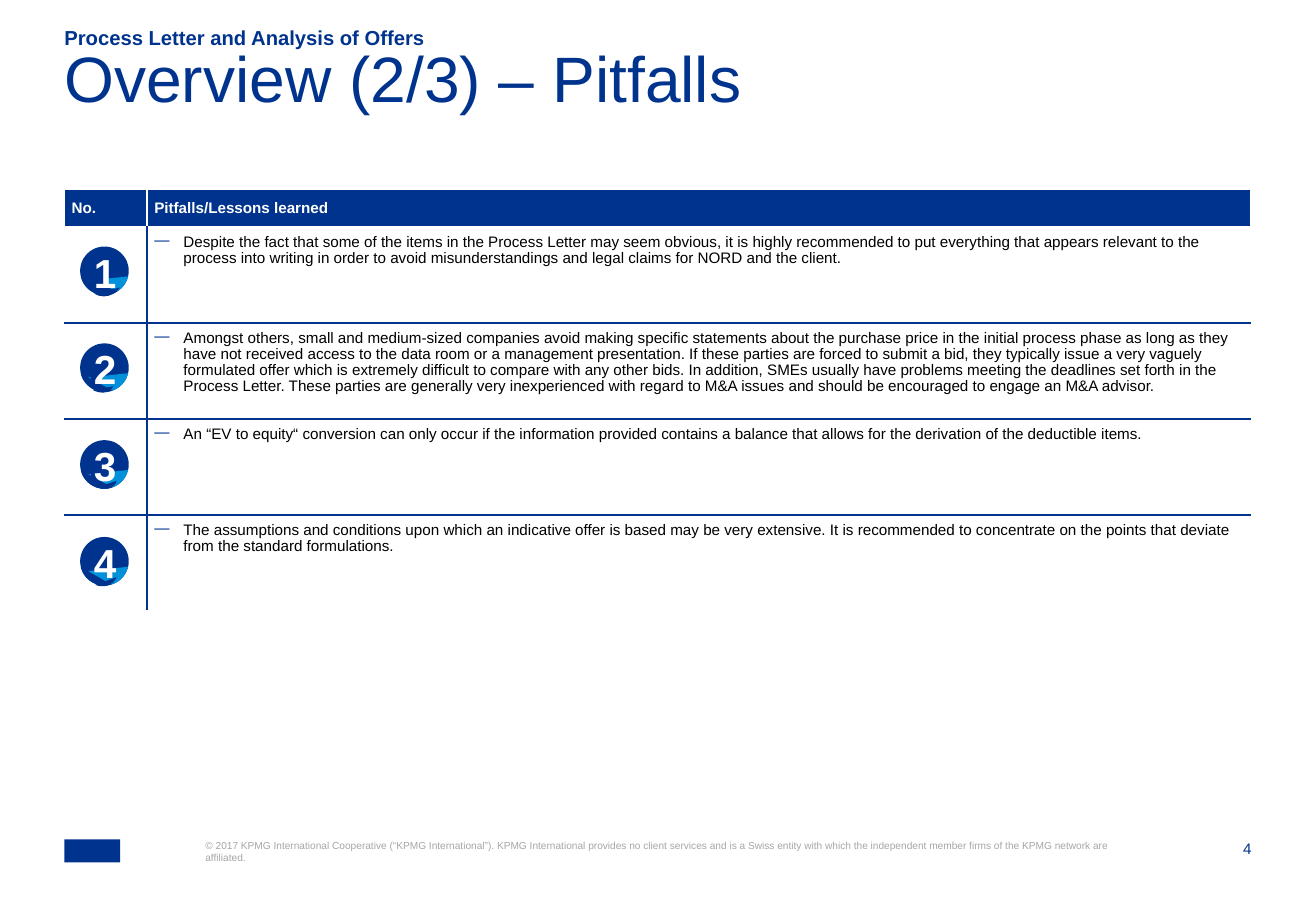
from dataclasses import dataclass
from typing import Any, Optional

from lxml.etree import SubElement
from pptx import Presentation
from pptx.dml.color import RGBColor
from pptx.enum.shapes import MSO_SHAPE
from pptx.enum.text import MSO_ANCHOR, MSO_AUTO_SIZE, PP_ALIGN
from pptx.oxml.ns import qn
from pptx.util import Inches, Pt

CELL = Inches(0.1)
SLIDE_COLS, SLIDE_ROWS = 108.3, 75
LEFT, WIDTH = 5.3, 97.6
COLUMN_WIDTHS = (6.8, 90.8)
HEADER_HEIGHT, ROW_HEIGHT = 3.1, 7.9
TABLE_TOP = 15.6
BADGE_LEFT, BADGE_TOP, BADGE_SIZE, BADGE_PITCH = 6.6, 20.3, 4, 7.97


@dataclass(frozen=True)
class Theme:
    font: str = "Arial"
    navy: str = "00338D"
    sky: str = "0091DA"
    white: str = "FFFFFF"
    black: str = "000000"
    grey: str = "A6A6A6"
    title: float = 38
    badge: float = 24
    kicker: float = 12
    body: float = 9
    footer: float = 6
    border: float = 1


@dataclass(frozen=True)
class Box:
    col: float
    row: float
    cols: float
    rows: float

    def emu(self) -> tuple[int, ...]:
        return tuple(grid(n) for n in (self.col, self.row, self.cols, self.rows))


@dataclass(frozen=True)
class Label:
    text: str
    box: Box
    size: float
    color: str
    bold: bool = False
    align: PP_ALIGN = PP_ALIGN.LEFT
    anchor: MSO_ANCHOR = MSO_ANCHOR.TOP
    spacing: Optional[float] = None


@dataclass(frozen=True)
class Pitfall:
    text: str
    shade_end: float
    patch: tuple[tuple[float, float], ...]
    tilted: Box
    rotation: float
    tilted_angles: tuple[float, float]


THEME = Theme()

LABELS = (
    Label("4", Box(98.7, 69.1, 4.3, 1.6), THEME.body, THEME.navy, align=PP_ALIGN.RIGHT),
    Label("© 2017 KPMG International Cooperative (“KPMG International”). KPMG International "
          "provides no client services and is a Swiss entity with which the independent "
          "member firms of the KPMG network are affiliated.",
          Box(16.9, 69.1, 74.9, 4.1), THEME.footer, THEME.grey),
    Label("Process Letter and Analysis of Offers", Box(LEFT, 2.2, 94, 1.9),
          THEME.kicker, THEME.navy, bold=True, anchor=MSO_ANCHOR.BOTTOM),
    Label("Overview (2/3) – Pitfalls", Box(LEFT, 4.9, WIDTH, 7.9),
          THEME.title, THEME.navy, spacing=0.7),
)

HEADERS = ("No.", "Pitfalls/Lessons learned")

PITFALLS = (
    Pitfall("Despite the fact that some of the items in the Process Letter may seem obvious, it "
            "is highly recommended to put everything that appears relevant to the process into "
            "writing in order to avoid misunderstandings and legal claims for NORD and the client.",
            58.23, ((0.9, 0.5), (2.3, 0.5), (2.3, 3.4), (0.9, 3.4)),
            Box(0.4, 1, 3.1, 3.1), 315, (77.05, 166.04)),
    Pitfall("Amongst others, small and medium-sized companies avoid making specific statements "
            "about the purchase price in the initial process phase as long as they have not "
            "received access to the data room or a management presentation. If these parties are "
            "forced to submit a bid, they typically issue a very vaguely formulated offer which "
            "is extremely difficult to compare with any other bids. In addition, SMEs usually "
            "have problems meeting the deadlines set forth in the Process Letter. These parties "
            "are generally very inexperienced with regard to M&A issues and should be encouraged "
            "to engage an M&A advisor.",
            70.86, ((0.9, 0.5), (2.6, 0.6), (1.6, 3.4), (0.9, 3.4)),
            Box(0.4, 1.4, 2.1, 2.9), 306.1, (81.95, 166.04)),
    Pitfall("An “EV to equity“ conversion can only occur if the information provided contains a "
            "balance that allows for the derivation of the deductible items.",
            71, ((0.9, 0.5), (2.4, 0.6), (2.3, 3.2), (0.9, 3.3)),
            Box(0.6, 1.4, 2.1, 2.9), 298, (81.95, 166.04)),
    Pitfall("The assumptions and conditions upon which an indicative offer is based may be very "
            "extensive. It is recommended to concentrate on the points that deviate from the "
            "standard formulations.",
            73.73, ((0.8, 0.5), (2.4, 0.6), (2.2, 2.6), (0.8, 2.7)),
            Box(0.4, 1.3, 2.5, 2.9), 301.1, (81.95, 168.3)),
)


def grid(cells: float) -> int:
    return round(cells * CELL)


def style_font(p: Any, size: float, color: str, bold: bool = False) -> None:
    for r in p.runs:
        r.font.name = THEME.font
        r.font.size = Pt(size)
        r.font.bold = bold
        r.font.color.rgb = RGBColor.from_string(color)


def paint(sp: Any, color: str) -> None:
    sp.shadow.inherit = False
    sp.fill.solid()
    sp.fill.fore_color.rgb = RGBColor.from_string(color)
    sp.line.fill.background()


def add_label(shapes: Any, label: Label) -> Any:
    tf = shapes.add_textbox(*label.box.emu()).text_frame
    tf.text = label.text
    tf.word_wrap = True
    tf.vertical_anchor = label.anchor
    tf.margin_left = tf.margin_right = tf.margin_top = tf.margin_bottom = 0
    p = tf.paragraphs[0]
    p.alignment = label.align
    p.line_spacing = label.spacing
    style_font(p, label.size, label.color, label.bold)
    return tf


def add_preset(shapes: Any, kind: MSO_SHAPE, box: Box, color: str,
               angles: tuple[float, ...] = (), rotation: float = 0) -> None:
    sp = shapes.add_shape(kind, *box.emu())
    for i, angle in enumerate(angles):
        sp.adjustments[i] = angle * 0.6
    sp.rotation = rotation
    paint(sp, color)


def add_badge(shapes: Any, index: int, pitfall: Pitfall) -> None:
    group = shapes.add_group_shape().shapes
    top = BADGE_TOP + index * BADGE_PITCH
    disc = Box(BADGE_LEFT, top, BADGE_SIZE, BADGE_SIZE)
    add_preset(group, MSO_SHAPE.OVAL, disc, THEME.navy)
    add_preset(group, MSO_SHAPE.CHORD, disc, THEME.sky, (13.23, 154.41))
    add_preset(group, MSO_SHAPE.CHORD, disc, THEME.navy, (pitfall.shade_end, 166.04))
    points = [(grid(BADGE_LEFT + x), grid(top + y)) for x, y in pitfall.patch]
    builder = group.build_freeform(*points[0])
    builder.add_line_segments(points[1:], close=True)
    paint(builder.convert_to_shape(), THEME.navy)
    t = pitfall.tilted
    add_preset(group, MSO_SHAPE.CHORD, Box(BADGE_LEFT + t.col, top + t.row, t.cols, t.rows),
               THEME.navy, pitfall.tilted_angles, pitfall.rotation)
    tf = add_label(group, Label(str(index + 1), Box(BADGE_LEFT + 0.1, top - 0.4, 3.9, 5),
                                THEME.badge, THEME.white, True, PP_ALIGN.CENTER))
    tf.margin_top = tf.margin_bottom = grid(0.5)
    tf.margin_left = tf.margin_right = grid(1)
    tf.word_wrap = False
    tf.auto_size = MSO_AUTO_SIZE.SHAPE_TO_FIT_TEXT


def style_cell(cell: Any, fill: str, borders: dict[str, str]) -> None:
    tcPr = cell._tc.get_or_add_tcPr()
    for side in "LRTB":
        ln = SubElement(tcPr, qn(f"a:ln{side}"), w=str(Pt(THEME.border)))
        solid = SubElement(ln, qn("a:solidFill"))
        SubElement(solid, qn("a:srgbClr"), val=borders.get(side, THEME.white))
    cell.fill.solid()
    cell.fill.fore_color.rgb = RGBColor.from_string(fill)
    cell.margin_left = cell.margin_right = cell.margin_top = cell.margin_bottom = grid(0.6)


def add_bullet(p: Any) -> None:
    pPr = p._p.get_or_add_pPr()
    pPr.set("marL", str(grid(2.4)))
    pPr.set("indent", str(-grid(2.4)))
    SubElement(SubElement(pPr, qn("a:buClr")), qn("a:srgbClr"), val=THEME.navy)
    SubElement(pPr, qn("a:buChar"), char="—")


def add_pitfall_table(shapes: Any) -> None:
    rows = len(PITFALLS) + 1
    height = HEADER_HEIGHT + ROW_HEIGHT * len(PITFALLS)
    table = shapes.add_table(rows, 2, *Box(LEFT, TABLE_TOP, WIDTH, height).emu()).table
    table.first_row = table.horz_banding = False
    for column, width in zip(table.columns, COLUMN_WIDTHS):
        column.width = grid(width)
    for i, row in enumerate(table.rows):
        row.height = grid(ROW_HEIGHT if i else HEADER_HEIGHT)
        texts = ("", PITFALLS[i - 1].text) if i else HEADERS
        for j, (cell, text) in enumerate(zip(row.cells, texts)):
            borders = {}
            if i:
                borders["L" if j else "R"] = THEME.navy
            if i > 1:
                borders["T"] = THEME.navy
            if 0 < i < rows - 1:
                borders["B"] = THEME.navy
            style_cell(cell, THEME.white if i else THEME.navy, borders)
            cell.vertical_anchor = MSO_ANCHOR.TOP if i else MSO_ANCHOR.MIDDLE
            if not text:
                continue
            cell.text_frame.text = text
            p = cell.text_frame.paragraphs[0]
            if i:
                add_bullet(p)
                p.space_after = Pt(2)
            p.line_spacing = 0.95
            style_font(p, THEME.body, THEME.black if i else THEME.white, not i)


def main() -> None:
    prs = Presentation()
    prs.slide_width, prs.slide_height = grid(SLIDE_COLS), grid(SLIDE_ROWS)
    s = prs.slides.add_slide(prs.slide_layouts[6])
    add_preset(s.shapes, MSO_SHAPE.RECTANGLE, Box(LEFT, 69.1, 4.6, 1.9), THEME.navy)
    for label in LABELS:
        add_label(s.shapes, label)
    add_pitfall_table(s.shapes)
    for index, pitfall in enumerate(PITFALLS):
        add_badge(s.shapes, index, pitfall)
    prs.save("out.pptx")


if __name__ == "__main__":
    main()
